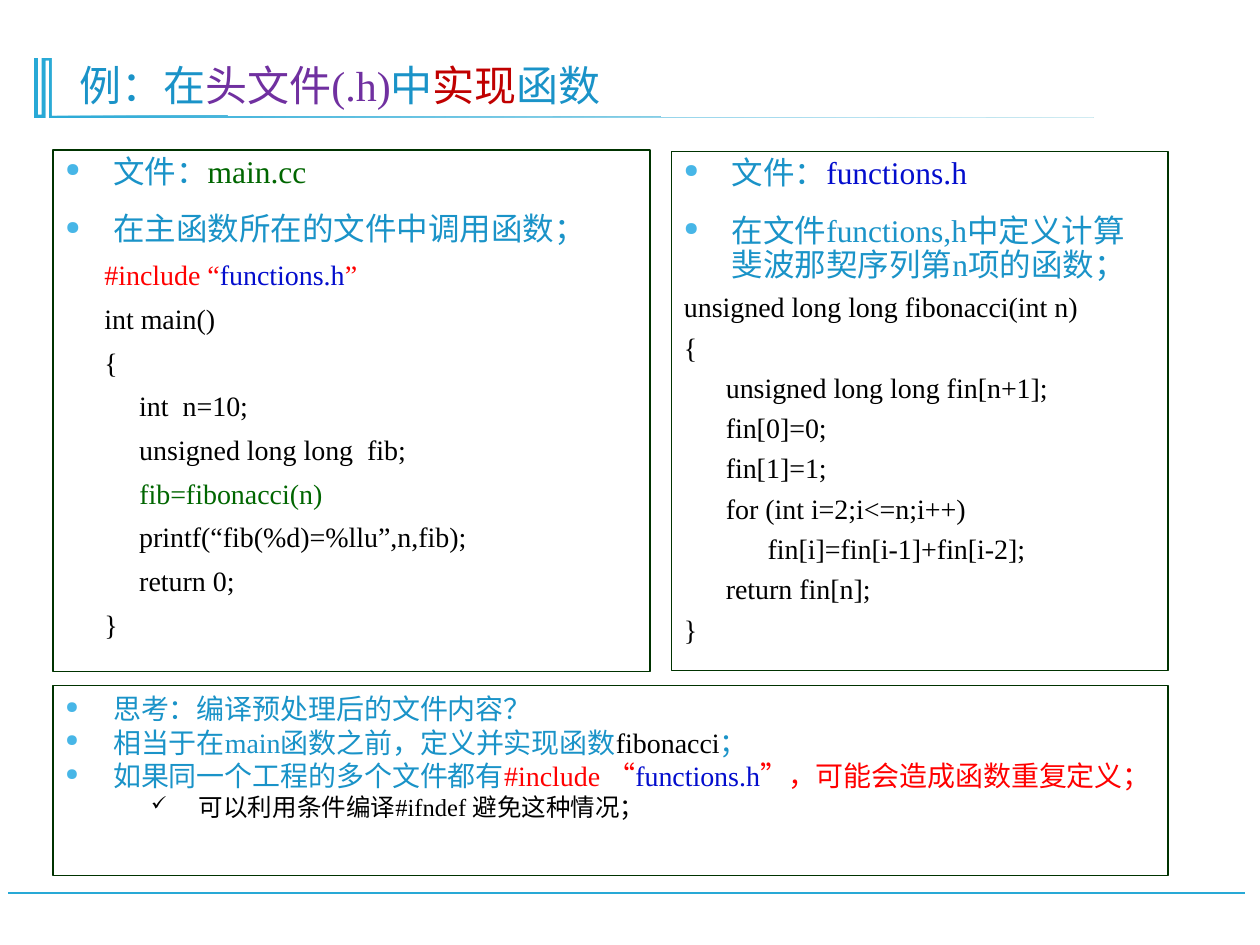
from lxml import etree
from pptx import Presentation
from pptx.dml.color import RGBColor
from pptx.enum.shapes import MSO_CONNECTOR
from pptx.enum.text import MSO_ANCHOR, PP_ALIGN
from pptx.oxml.ns import qn
from pptx.util import Inches, Pt

COLORS = {
    "accent": "28A9D6", "text": "1A93C8", "bullet": "47B6E7", "border": "003300",
    "purple": "7030A0", "crimson": "C00000", "red": "FF0000", "blue": "030DCD",
    "green": "006600", "black": "000000", "white": "FFFFFF",
}
FONT = "Times New Roman"


def rgb(name):
    return RGBColor.from_string(COLORS[name])


def add_text(tf, *runs, size=16, level=0, left=0, hanging=0, line=1.0, before=0,
             bullet=None, bullet_color=None, bullet_size=60):
    """Add a paragraph of (text, colour name) runs; the first one fills the empty paragraph."""
    first = not tf.paragraphs[0].runs
    p = tf.paragraphs[0] if first else tf.add_paragraph()
    p.level = level
    p.alignment = PP_ALIGN.LEFT
    p.line_spacing = line
    p.space_before = Pt(0 if first else before)
    pPr = p._p.get_or_add_pPr()
    pPr.set("marL", str(Inches(left)))
    pPr.set("indent", str(-Inches(hanging)))
    if bullet:
        if bullet_color:
            clr = etree.SubElement(pPr, qn("a:buClr"))
            etree.SubElement(clr, qn("a:srgbClr"), val=COLORS[bullet_color])
        etree.SubElement(pPr, qn("a:buSzPct"), val=str(bullet_size * 1000))
        etree.SubElement(pPr, qn("a:buChar"), char=bullet)
    else:
        etree.SubElement(pPr, qn("a:buNone"))
    for text, color in runs:
        r = p.add_run()
        r.text = text
        r.font.name = FONT
        r.font.size = Pt(size)
        r.font.color.rgb = rgb(color)


prs = Presentation()
prs.slide_width, prs.slide_height = Inches(10), Inches(7.5)
s = prs.slides.add_slide(prs.slide_layouts[5])

# Footer rule
rule = s.shapes.add_connector(MSO_CONNECTOR.STRAIGHT, Inches(9.88), Inches(7.09),
                              Inches(0.06), Inches(7.09))
rule.line.color.rgb = rgb("accent")
rule.line.width = Pt(1.25)
etree.SubElement(rule._element.spPr, qn("a:effectLst"))

# Title ornament, in hundredths of an inch
outline = [(41, 92), (140, 92), (1009, 94), (39, 94), (39, 48), (36, 48), (36, 94),
           (27, 94), (27, 46), (30, 46), (30, 91), (33, 91), (33, 46)]
builder = s.shapes.build_freeform(41, 46, scale=Inches(0.01))
builder.add_line_segments(outline, close=True)
ornament = builder.convert_to_shape()
ornament.shadow.inherit = False
ornament.line.fill.background()
ornament.fill.gradient()
ornament.fill.gradient_angle = 0
for stop, color in zip(ornament.fill.gradient_stops, ("accent", "white")):
    stop.color.rgb = rgb(color)

# Title
title = s.shapes.title
title.left, title.top = Inches(0.53), Inches(0.28)
title.width, title.height = Inches(8.85), Inches(0.64)
title.text_frame.vertical_anchor = MSO_ANCHOR.BOTTOM
add_text(title.text_frame, ("例：在", "text"), ("头文件(.h)", "purple"), ("中", "text"),
         ("实现", "crimson"), ("函数", "text"), size=24)

# Framed panels
frames = []
for left, top, width, height in [(5.33, 1.2, 3.94, 4.12), (0.42, 1.19, 4.74, 4.14),
                                 (0.42, 5.44, 8.85, 1.51)]:
    box = s.shapes.add_textbox(Inches(left), Inches(top), Inches(width), Inches(height))
    box.line.color.rgb = rgb("border")
    box.line.width = Pt(0.75)
    box.text_frame.word_wrap = True
    frames.append(box.text_frame)
header, main, notes = frames

bulleted = dict(left=0.38, hanging=0.38, bullet="●", bullet_color="bullet")
heading = dict(bulleted, size=18, line=0.9, before=13.5)

# functions.h
add_text(header, ("文件：", "text"), ("functions.h", "blue"), **heading)
add_text(header, ("在文件functions,h中定义计算斐波那契序列第n项的函数；", "text"), **heading)
header_code = """unsigned long long fibonacci(int n)
{
      unsigned long long fin[n+1];
      fin[0]=0;
      fin[1]=1;
      for (int i=2;i<=n;i++)
            fin[i]=fin[i-1]+fin[i-2];
      return fin[n];
}"""
for code in header_code.splitlines():
    add_text(header, (code, "black"), line=1.2)

# main.cc
add_text(main, ("文件：", "text"), ("main.cc", "green"), **heading)
add_text(main, ("在主函数所在的文件中调用函数；", "text"), **heading)
main_code = [
    [("#include “", "red"), ("functions.h", "blue"), ("”", "red")],
    [("int main()", "black")],
    [("{", "black")],
    [("     int  n=10;", "black")],
    [("     unsigned long long  fib;", "black")],
    [("     ", "black"), ("fib=fibonacci(n)", "green")],
    [("     printf(“fib(%d)=%llu”,n,fib);", "black")],
    [("     return 0;", "black")],
    [("}", "black")],
]
for runs in main_code:
    add_text(main, *runs, level=1, left=0.69, hanging=0.38, line=1.3)

# Discussion
add_text(notes, ("思考：编译预处理后的文件内容？", "text"), **bulleted)
add_text(notes, ("相当于在main函数之前，定义并实现函数", "text"), ("fibonacci", "black"),
         ("；", "text"), **bulleted)
add_text(notes, ("如果同一个工程的多个文件都有", "text"), ("#include “", "red"),
         ("functions.h", "blue"), ("”，可能会造成函数重复定义；", "red"), **bulleted)
add_text(notes, ("可以利用条件编译#ifndef 避免这种情况；", "black"), size=14, level=1,
         left=1.06, hanging=0.38, bullet="✓", bullet_size=80)

prs.save("out.pptx")
